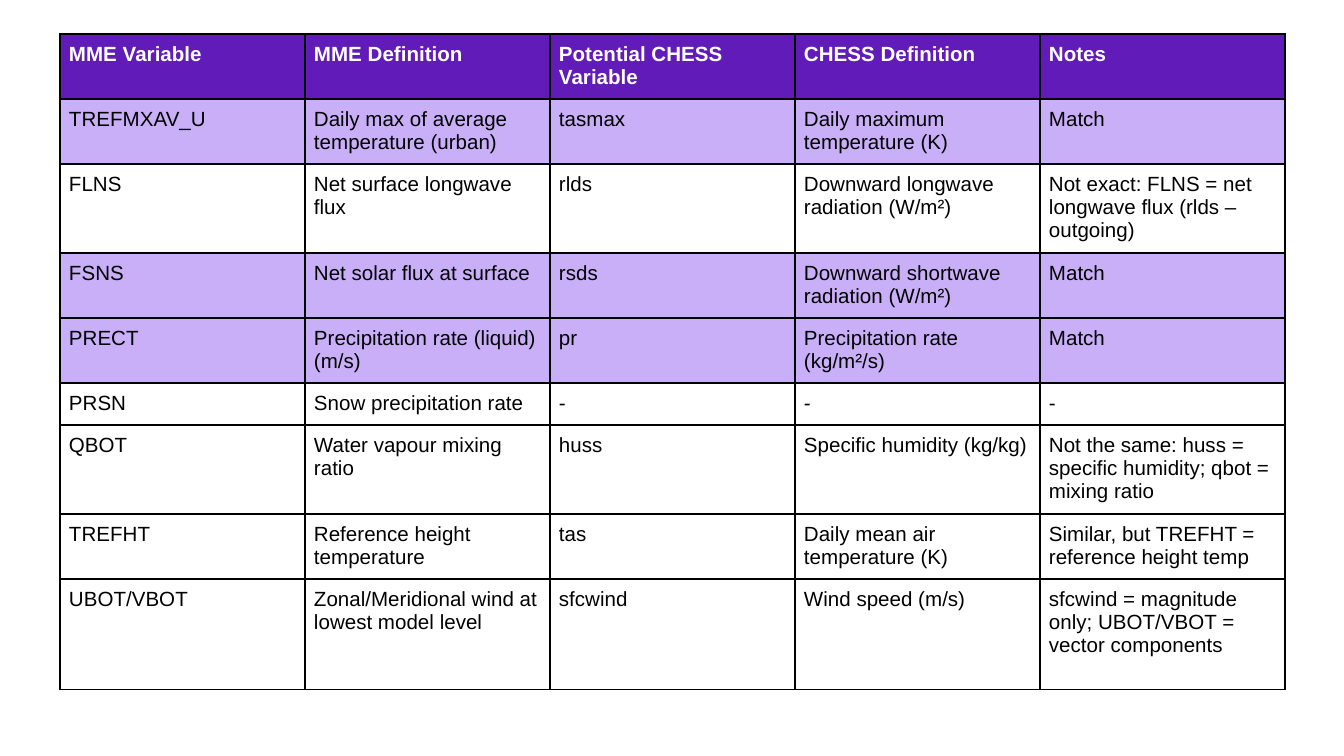
from dataclasses import dataclass

from pptx import Presentation
from pptx.dml.color import RGBColor
from pptx.oxml import parse_xml
from pptx.oxml.ns import nsdecls
from pptx.util import Emu, Pt


@dataclass(frozen=True)
class Theme:
    font: str = "Arial"
    size: int = 11
    header: str = "611BB8"
    match: str = "C9AEF8"
    light: str = "FFFFFF"
    ink: str = "000000"
    border: int = 1


def px(length):
    return Emu(round(length * 914400 / 134.4))


def set_all(target, values):
    for name, value in values.items():
        setattr(target, name, value)


class SlideBuilder:
    def __init__(self, slide, theme):
        self.slide = slide
        self.theme = theme

    def borders(self, cell):
        properties = cell._tc.get_or_add_tcPr()
        for side in "LRTB":
            properties.append(parse_xml(
                f'<a:ln{side} {nsdecls("a")} w="{Pt(self.theme.border)}">'
                f'<a:solidFill><a:srgbClr val="{self.theme.ink}"/></a:solidFill>'
                f'<a:prstDash val="solid"/></a:ln{side}>'))

    def cell(self, cell, text, fill, color, bold):
        margins = ("margin_left", "margin_right", "margin_top", "margin_bottom")
        set_all(cell, dict.fromkeys(margins, px(9)))
        self.borders(cell)
        if fill:
            cell.fill.solid()
            cell.fill.fore_color.rgb = RGBColor.from_string(fill)
        else:
            cell.fill.background()
        cell.text = text
        font = cell.text_frame.paragraphs[0].runs[0].font
        set_all(font, {"name": self.theme.font, "size": Pt(self.theme.size), "bold": bold})
        font.color.rgb = RGBColor.from_string(color)

    def table(self, left, top, column_width, row_heights, rows):
        columns = len(rows[0])
        table = self.slide.shapes.add_table(
            len(rows), columns, px(left), px(top),
            px(column_width * columns), px(sum(row_heights))).table
        set_all(table, {"first_row": False, "horz_banding": False})
        for column in table.columns:
            column.width = px(column_width)
        for index, (row, height, texts) in enumerate(zip(table.rows, row_heights, rows)):
            row.height = px(height)
            is_header = index == 0
            if is_header:
                fill = self.theme.header
            else:
                fill = self.theme.match if texts[-1] == "Match" else None
            color = self.theme.light if is_header else self.theme.ink
            for cell, text in zip(row.cells, texts):
                self.cell(cell, text, fill, color, is_header)


VARIABLES = [
    ("MME Variable", "MME Definition", "Potential CHESS Variable",
     "CHESS Definition", "Notes"),
    ("TREFMXAV_U", "Daily max of average temperature (urban)", "tasmax",
     "Daily maximum temperature (K)", "Match"),
    ("FLNS", "Net surface longwave flux", "rlds",
     "Downward longwave radiation (W/m²)",
     "Not exact: FLNS = net longwave flux (rlds – outgoing)"),
    ("FSNS", "Net solar flux at surface", "rsds",
     "Downward shortwave radiation (W/m²)", "Match"),
    ("PRECT", "Precipitation rate (liquid) (m/s)", "pr",
     "Precipitation rate (kg/m²/s)", "Match"),
    ("PRSN", "Snow precipitation rate", "-", "-", "-"),
    ("QBOT", "Water vapour mixing ratio", "huss", "Specific humidity (kg/kg)",
     "Not the same: huss = specific humidity; qbot = mixing ratio"),
    ("TREFHT", "Reference height temperature", "tas",
     "Daily mean air temperature (K)",
     "Similar, but TREFHT = reference height temp"),
    ("UBOT/VBOT", "Zonal/Meridional wind at lowest model level", "sfcwind",
     "Wind speed (m/s)",
     "sfcwind = magnitude only; UBOT/VBOT = vector components"),
]
ROW_HEIGHTS = [65, 65, 89, 65, 65, 42, 89, 65, 111]


def main():
    presentation = Presentation()
    set_all(presentation, {"slide_width": px(1344), "slide_height": px(756)})
    slide = presentation.slides.add_slide(presentation.slide_layouts[6])
    builder = SlideBuilder(slide, Theme())
    builder.table(60, 34, 245, ROW_HEIGHTS, VARIABLES)
    presentation.save("out.pptx")


if __name__ == "__main__":
    main()
